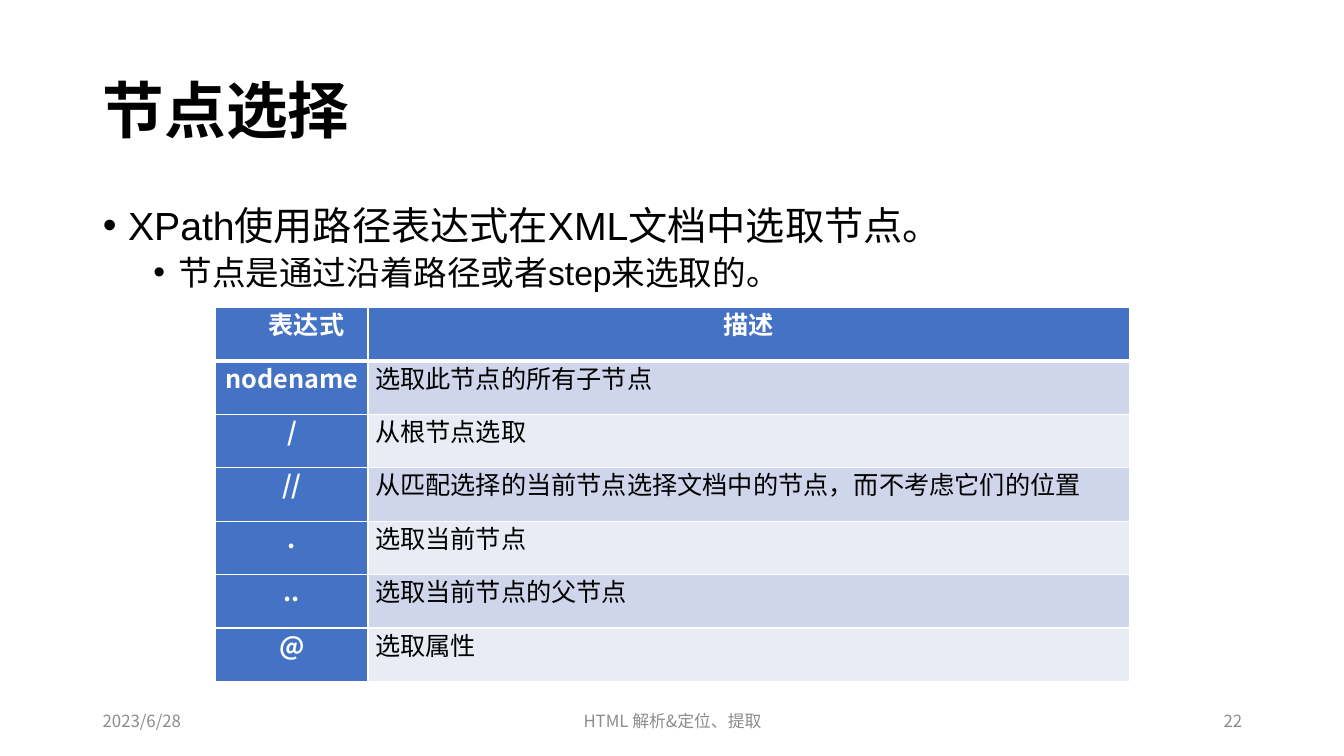
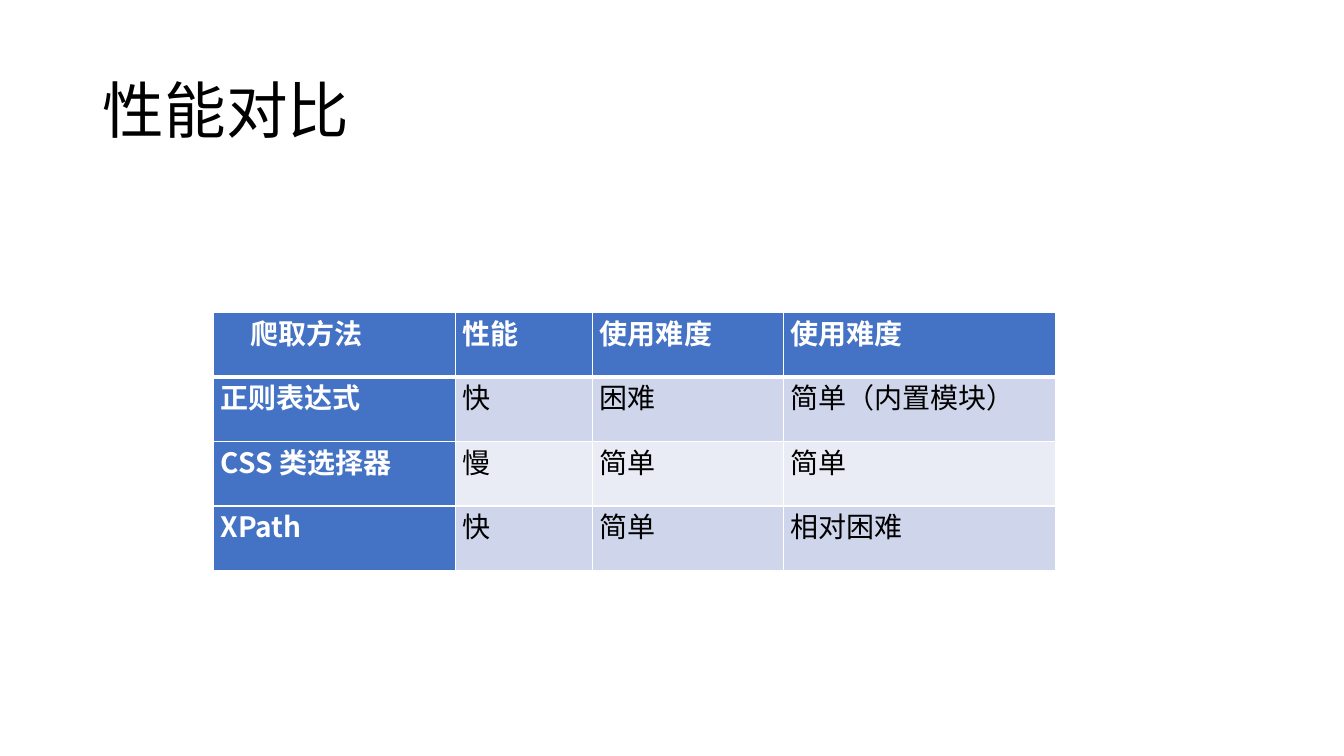
from lxml import etree
from pptx import Presentation
from pptx.dml.color import RGBColor
from pptx.enum.text import MSO_ANCHOR, MSO_AUTO_SIZE, PP_ALIGN
from pptx.oxml.ns import qn
from pptx.util import Inches, Pt

LEFT, CENTER, RIGHT = PP_ALIGN.LEFT, PP_ALIGN.CENTER, PP_ALIGN.RIGHT
TOP, MIDDLE = MSO_ANCHOR.TOP, MSO_ANCHOR.MIDDLE
NO_AUTOFIT = MSO_AUTO_SIZE.NONE

BLACK = RGBColor(0x00, 0x00, 0x00)
WHITE = RGBColor(0xFF, 0xFF, 0xFF)
GREY = RGBColor(0x8C, 0x8C, 0x8C)
BLUE = RGBColor(0x44, 0x72, 0xC4)
BANDS = [RGBColor(0xCF, 0xD5, 0xEA), RGBColor(0xE9, 0xEB, 0xF5)]

LATIN_FONT = "Arial"
CJK_FONT = "Noto Sans CJK SC"
MARGIN, CONTENT_WIDTH = 0.92, 11.5


def format_paragraph(paragraph, size, color, bold=False, font=CJK_FONT, align=LEFT):
    paragraph.alignment = align
    for run in paragraph.runs:
        run.font.size = Pt(size)
        run.font.bold = bold
        run.font.name = font
        run.font.color.rgb = color
        east_asian = etree.SubElement(run.font._element, qn("a:ea"))
        east_asian.set("typeface", CJK_FONT)


def add_grid(slide, left, top, widths, row_height, rows, size, key_align, head_align):
    grid = slide.shapes.add_table(
        len(rows), len(widths), Inches(left), Inches(top),
        Inches(sum(widths)), Inches(row_height * len(rows))).table
    for column, width in zip(grid.columns, widths):
        column.width = Inches(width)
    for r, texts in enumerate(rows):
        grid.rows[r].height = Inches(row_height)
        for c, text in enumerate(texts):
            cell = grid.cell(r, c)
            cell.margin_left = cell.margin_right = Inches(0.07)
            cell.margin_top = cell.margin_bottom = 0
            cell.vertical_anchor = MIDDLE

            # White borders, thicker below the header row
            thick_side = {0: "lnB", 1: "lnT"}.get(r)
            for side in ("lnL", "lnR", "lnT", "lnB"):
                line = etree.SubElement(cell._tc.get_or_add_tcPr(), qn(f"a:{side}"))
                line.set("w", str(Pt(3 if side == thick_side else 1)))
                line_fill = etree.SubElement(line, qn("a:solidFill"))
                etree.SubElement(line_fill, qn("a:srgbClr")).set("val", str(WHITE))

            # Blue header row and key column, banded values
            is_heading = r == 0 or c == 0
            cell.fill.solid()
            cell.fill.fore_color.rgb = BLUE if is_heading else BANDS[(r - 1) % 2]
            cell.text = text
            paragraph = cell.text_frame.paragraphs[0]
            paragraph.line_spacing = Pt(11)
            align = head_align if r == 0 else key_align if c == 0 else LEFT
            format_paragraph(paragraph, size, WHITE if is_heading else BLACK,
                             is_heading, align=align)
            if r == 0 and c == 0:
                properties = paragraph._p.get_or_add_pPr()
                properties.set("marL", "0")
                properties.set("indent", str(Inches(0.29)))


prs = Presentation()
prs.slide_width, prs.slide_height = Inches(13.33), Inches(7.5)

# Slides and titles
slides = []
for layout_index, title_text, bold, font in [
        (1, "节点选择", True, LATIN_FONT), (5, "性能对比", False, CJK_FONT)]:
    slide = prs.slides.add_slide(prs.slide_layouts[layout_index])
    title = slide.shapes.title
    title.left, title.top = Inches(MARGIN), Inches(0.4)
    title.width, title.height = Inches(CONTENT_WIDTH), Inches(1.45)
    title.text_frame.text = title_text
    title.text_frame.auto_size = NO_AUTOFIT
    title.text_frame.vertical_anchor = MIDDLE
    title.text_frame.paragraphs[0].line_spacing = 0.9
    format_paragraph(title.text_frame.paragraphs[0], 44, BLACK, bold, font)
    slides.append(slide)
selection_slide, comparison_slide = slides

# Node selection: bullets
body = selection_slide.placeholders[1]
body.left, body.top = Inches(MARGIN), Inches(2)
body.width, body.height = Inches(CONTENT_WIDTH), Inches(4.76)
body.text_frame.text = "XPath使用路径表达式在XML文档中选取节点。\n节点是通过沿着路径或者step来选取的。"
body.text_frame.auto_size = NO_AUTOFIT
body.text_frame.vertical_anchor = TOP
for level, (bullet, size, space, indent) in enumerate(
        zip(body.text_frame.paragraphs, (28, 24), (10, 5), (0.25, 0.75))):
    bullet.level = level
    bullet.line_spacing = 0.9
    bullet.space_before = Pt(space)
    format_paragraph(bullet, size, BLACK, font=LATIN_FONT)
    properties = bullet._p.get_or_add_pPr()
    properties.set("marL", str(Inches(indent)))
    properties.set("indent", str(Inches(-0.25)))
    etree.SubElement(properties, qn("a:buFont")).set("typeface", LATIN_FONT)
    etree.SubElement(properties, qn("a:buChar")).set("char", "•")

# Node selection: date, footer and page number
for text, left, width, align in [
        ("2023/6/28", MARGIN, 3, LEFT),
        ("HTML 解析&定位、提取", 4.42, 4.5, CENTER),
        ("22", 9.42, 3, RIGHT)]:
    footer = selection_slide.shapes.add_textbox(
        Inches(left), Inches(6.95), Inches(width), Inches(0.4)).text_frame
    footer.word_wrap = True
    footer.vertical_anchor = MIDDLE
    footer.text = text
    format_paragraph(footer.paragraphs[0], 12, GREY, align=align)

# Node selection: path expressions
expressions = [
    ("表达式", "描述"),
    ("nodename", "选取此节点的所有子节点"),
    ("/", "从根节点选取"),
    ("//", "从匹配选择的当前节点选择文档中的节点，而不考虑它们的位置"),
    (".", "选取当前节点"),
    ("..", "选取当前节点的父节点"),
    ("@", "选取属性"),
]
add_grid(selection_slide, 2.14, 3.05, [1.51, 7.55], 0.53, expressions, 18, CENTER, CENTER)

# Performance comparison: scraping methods
methods = [
    ("爬取方法", "性能", "使用难度", "使用难度"),
    ("正则表达式", "快", "困难", "简单（内置模块）"),
    ("CSS 类选择器", "慢", "简单", "简单"),
    ("XPath", "快", "简单", "相对困难"),
]
add_grid(comparison_slide, 2.12, 3.1, [2.4, 1.36, 1.89, 2.7], 0.64, methods, 20, LEFT, LEFT)

prs.save("out.pptx")
